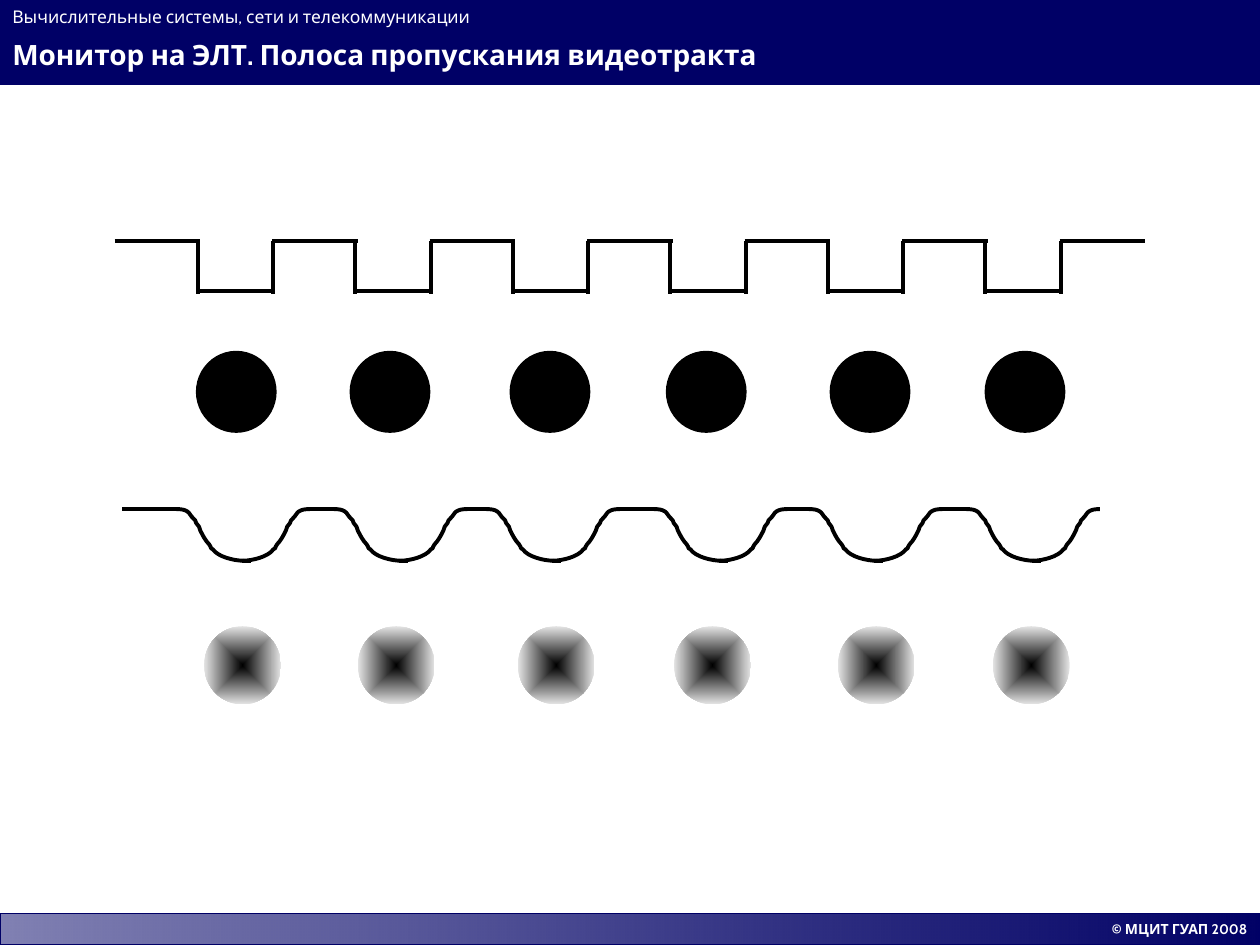
from dataclasses import dataclass

from lxml.etree import SubElement
from pptx import Presentation
from pptx.dml.color import RGBColor
from pptx.enum.shapes import MSO_CONNECTOR as Connector, MSO_SHAPE as Shape
from pptx.enum.text import MSO_ANCHOR as Anchor, PP_ALIGN as Align
from pptx.oxml import parse_xml
from pptx.oxml.ns import nsdecls, qn
from pptx.util import Inches, Pt


@dataclass(frozen=True)
class Theme:
    """Colours, font and sizes of the slide."""
    navy: str = "000066"
    white: str = "FFFFFF"
    ink: str = "000000"
    halo: str = "E4E4E4"
    font: str = "Cabin"
    title: float = 16
    course: float = 10
    copyright: float = 8
    frame: float = 0.75
    signal: float = 2.25


@dataclass(frozen=True)
class Box:
    """An area measured on a grid of 100 columns by 75 rows."""
    left: float
    top: float
    width: float
    height: float

    def point(self, x, y):
        """Return the slide position of a grid offset inside the box."""
        return Inches((self.left + x) / 10), Inches((self.top + y) / 10)

    def area(self, x, y, width, height):
        """Return the slide rectangle of an area inside the box."""
        return *self.point(x, y), Inches(width / 10), Inches(height / 10)


THEME = Theme()
COLUMNS, ROWS = 100, 75
PIXEL_OFFSETS = (0, 12.2, 24.9, 37.3, 50.3, 62.6)
PIXEL_SIZE = (6.1, 6.2)
DIP_OFFSETS = (4.3, 16.8, 28.9, 42.2, 54.5, 67)
SLOPE_WIDTH = 5.3
SLOPE = (
    (0, 0), (0.5, 0), (0.7, 0.1), (0.8, 0.1), (1, 0.3), (1, 0.3),
    (1.1, 0.5), (1.3, 0.7), (1.5, 0.9), (1.6, 1.2), (1.5, 1), (1.8, 1.4),
    (1.9, 1.5), (1.8, 1.6), (1.9, 1.7), (2.1, 2.1), (2.3, 2.5), (2.6, 2.8),
    (2.9, 3.2), (2.6, 3.1), (2.9, 3.2), (3.3, 3.8), (4.6, 4.1), (5.3, 4.1),
)


def rgb(colour):
    """Turn a hex string into a colour."""
    return RGBColor.from_string(colour)


def set_line(shape, width):
    """Give a shape or connector an ink line."""
    shape.line.color.rgb = rgb(THEME.ink)
    shape.line.width = Pt(width)


def set_gradient(shape, start, end, direction, alpha=100):
    """Fill a shape with a two-stop gradient."""
    shape.fill.gradient()
    old = shape.element.spPr.find(qn("a:gradFill"))
    old.getparent().replace(old, parse_xml(
        f'<a:gradFill {nsdecls("a")} rotWithShape="1"><a:gsLst>'
        f'<a:gs pos="0"><a:srgbClr val="{start}">'
        f'<a:alpha val="{alpha * 1000}"/></a:srgbClr></a:gs>'
        f'<a:gs pos="100000"><a:srgbClr val="{end}"/></a:gs>'
        f'</a:gsLst>{direction}</a:gradFill>'))


def write(shape, text, size, bold=False, align=Align.LEFT):
    """Put one white line of text in a shape."""
    frame = shape.text_frame
    frame.word_wrap = True
    frame.vertical_anchor = Anchor.MIDDLE
    frame.text = text
    paragraph = frame.paragraphs[0]
    paragraph.alignment = align
    font = paragraph.runs[0].font
    font.name, font.size, font.bold = THEME.font, Pt(size), bold
    font.color.rgb = rgb(THEME.white)


def draw_bar(shapes, box):
    """Draw a navy bar filling the box."""
    bar = shapes.add_shape(Shape.RECTANGLE, *box.area(0, 0, box.width, box.height))
    bar.shadow.inherit = False
    bar.fill.solid()
    bar.fill.fore_color.rgb = rgb(THEME.navy)
    bar.line.color.rgb = rgb(THEME.navy)
    bar.line.width = Pt(THEME.frame)
    return bar


def draw_segment(shapes, box, start, end):
    """Draw a straight piece of a signal."""
    segment = shapes.add_connector(
        Connector.STRAIGHT, *box.point(*start), *box.point(*end))
    set_line(segment, THEME.signal)
    SubElement(segment.element.spPr, qn("a:effectLst"))


def draw_slope(shapes, box, points):
    """Draw a curve whose points come in Bezier triples."""
    start, *controls = [box.point(*point) for point in points]
    builder = shapes.build_freeform(*start)
    builder.add_line_segments(controls, close=False)
    slope = builder.convert_to_shape()
    slope.shadow.inherit = False
    slope.fill.background()
    set_line(slope, THEME.signal)
    lines = list(slope.element.iter(qn("a:lnTo")))
    for first in range(0, len(lines), 3):
        curve = SubElement(lines[first].getparent(), qn("a:cubicBezTo"))
        for line in lines[first:first + 3]:
            curve.append(line[0])
            line.getparent().remove(line)


def draw_header(shapes, box):
    """Draw the header with the course name and slide title."""
    draw_bar(shapes, box)
    title = shapes.add_textbox(*box.area(0, 2.5, box.width, 3.7))
    write(title, "Монитор на ЭЛТ. Полоса пропускания видеотракта",
          THEME.title, bold=True)
    course = shapes.add_textbox(*box.area(0, 0, box.width, 2.7))
    write(course, "Вычислительные системы, сети и телекоммуникации", THEME.course)


def draw_footer(shapes, box):
    """Draw the shaded footer with the copyright line."""
    footer = draw_bar(shapes, box)
    set_gradient(footer, THEME.navy, THEME.navy, '<a:lin ang="0" scaled="0"/>', 50)
    write(footer, "© МЦИТ ГУАП 2008", THEME.copyright, True, Align.RIGHT)


def draw_square_wave(shapes, box, pulses=6):
    """Draw the ideal signal with evenly spaced pulses."""
    period, crest, trough = 12.5, 6.8, 6.2
    floor = box.height - 0.2
    for pulse in range(pulses + 1):
        left = pulse * period
        draw_segment(shapes, box, (left, 0), (left + crest, 0))
        if pulse < pulses:
            fall = left + crest - 0.2
            draw_segment(shapes, box, (fall, 0), (fall, box.height))
            draw_segment(shapes, box, (fall - 0.1, floor), (fall - 0.1 + trough, floor))
            rise = left + period + 0.1
            draw_segment(shapes, box, (rise, 0), (rise, box.height))


def draw_smooth_wave(shapes, box):
    """Draw the band-limited signal with rounded dips."""
    crest_start = 0
    for dip in DIP_OFFSETS:
        middle, end = dip + SLOPE_WIDTH, dip + 2 * SLOPE_WIDTH
        draw_segment(shapes, box, (crest_start, 0), (dip + 0.1, 0))
        falling = [(dip, 0), *((dip + x, y) for x, y in SLOPE)]
        draw_slope(shapes, box, falling)
        draw_segment(shapes, box, (middle - 0.1, box.height), (middle + 0.6, box.height))
        draw_slope(shapes, box, [(2 * middle - x, y) for x, y in falling])
        crest_start = end - 0.2


def draw_pixels(shapes, box, blurred):
    """Draw the row of screen dots, sharp or blurred."""
    centre = ('<a:path path="rect"><a:fillToRect l="50000" t="50000" '
              'r="50000" b="50000"/></a:path>')
    for offset in PIXEL_OFFSETS:
        pixel = shapes.add_shape(Shape.OVAL, *box.area(offset, 0, *PIXEL_SIZE))
        pixel.shadow.inherit = False
        if blurred:
            set_gradient(pixel, THEME.ink, THEME.halo, centre)
            pixel.line.fill.background()
        else:
            pixel.fill.solid()
            pixel.fill.fore_color.rgb = rgb(THEME.ink)
            set_line(pixel, THEME.signal)


def main():
    """Build and save the slide."""
    deck = Presentation()
    deck.slide_width, deck.slide_height = Inches(COLUMNS / 10), Inches(ROWS / 10)
    shapes = deck.slides.add_slide(deck.slide_layouts[6]).shapes
    draw_header(shapes, Box(0, 0, COLUMNS, 6.7))
    draw_footer(shapes, Box(0, ROWS - 2.5, COLUMNS, 2.5))
    draw_square_wave(shapes.add_group_shape().shapes, Box(9.1, 19.1, 81.8, 4.2))
    draw_pixels(shapes.add_group_shape().shapes, Box(15.7, 28, 68.7, 6.2), False)
    draw_pixels(shapes.add_group_shape().shapes, Box(16.2, 49.7, 68.7, 6.2), True)
    draw_smooth_wave(shapes.add_group_shape().shapes, Box(9.7, 40.4, 77.6, 4.1))
    deck.save("out.pptx")


if __name__ == "__main__":
    main()
